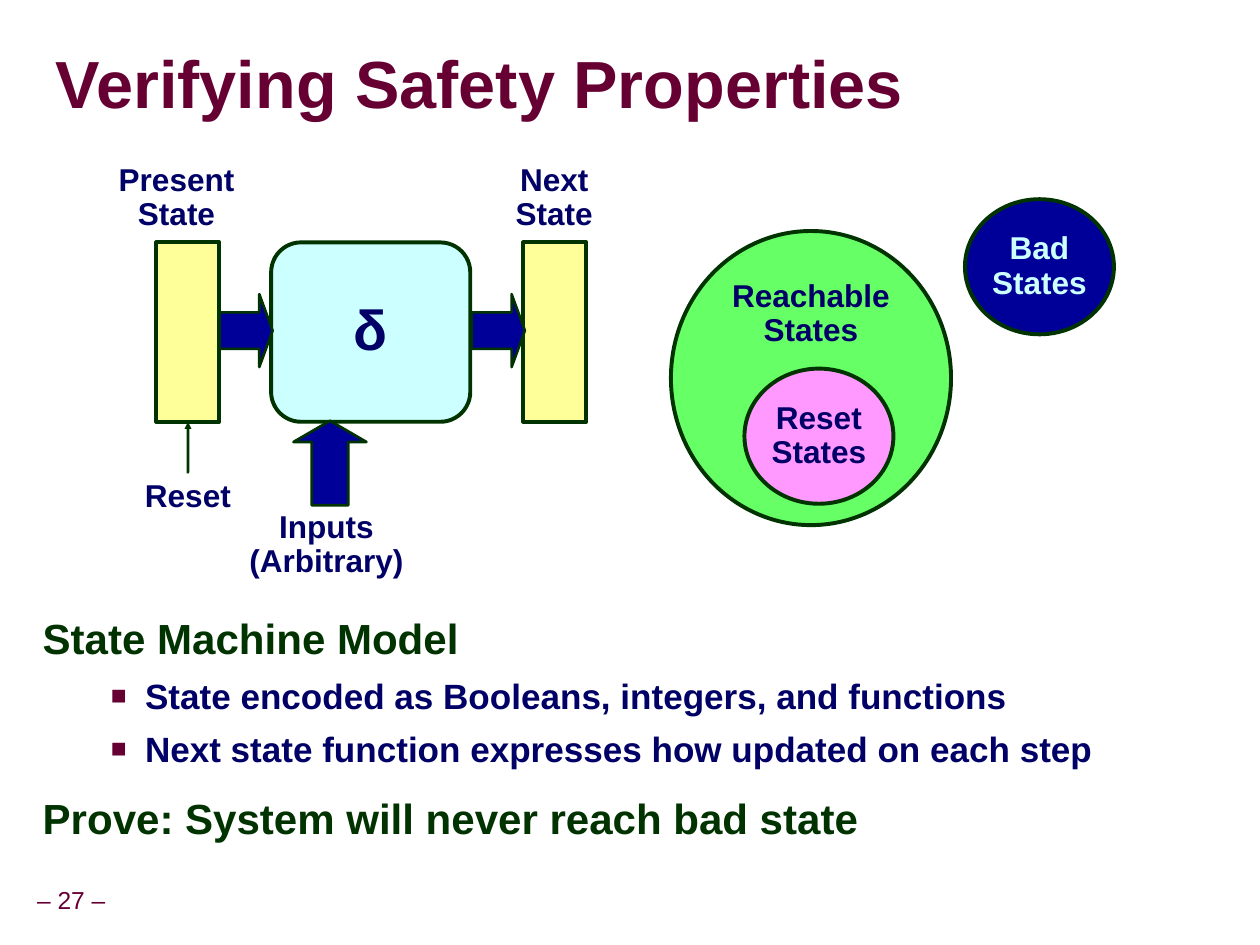
import lxml.etree
import pptx
import pptx.dml.color
import pptx.enum.shapes
import pptx.enum.text
import pptx.oxml
import pptx.oxml.ns
import pptx.util

Cm, Pt = pptx.util.Cm, pptx.util.Pt
SHAPE = pptx.enum.shapes.MSO_SHAPE
ALIGN = pptx.enum.text.PP_ALIGN
ANCHOR = pptx.enum.text.MSO_ANCHOR
NAMESPACE = pptx.oxml.ns.nsdecls("a")

GREEN, NAVY, BLUE, MAROON = "003300", "000066", "000099", "660033"
YELLOW, CYAN = "FFFF99", "CCFFFF"


def color(value):
    return pptx.dml.color.RGBColor.from_string(value)


def write(frame, text, size=18, ink=NAVY, bold=True, align=ALIGN.CENTER,
          spacing=0.9, before=0, inset=0.13, anchor=ANCHOR.TOP, wrap=False):
    """Write each line of the text as a paragraph after those in the frame."""
    frame.word_wrap = wrap
    frame.auto_size = pptx.enum.text.MSO_AUTO_SIZE.NONE
    frame.vertical_anchor = anchor
    frame.margin_left = frame.margin_right = Cm(inset)
    frame.margin_top = frame.margin_bottom = Cm(min(inset, 0.13))
    for line in text.split("\n"):
        para = frame.paragraphs[0] if not frame.text else frame.add_paragraph()
        para.alignment = align
        para.line_spacing = spacing
        para.space_before = Pt(before)
        span = para.add_run()
        span.text = line
        span.font.name = "Arial"
        span.font.size = Pt(size)
        span.font.bold = bold
        span.font.color.rgb = color(ink)
    return para


deck = pptx.Presentation()
deck.slide_width, deck.slide_height = Cm(25.37), Cm(19.02)
page = deck.slides.add_slide(deck.slide_layouts[1])

# Title with a text shadow
title = page.shapes.title
title.left, title.top, title.width, title.height = Cm(1.12), Cm(0.69), Cm(24.18), Cm(2.16)
para = write(title.text_frame, "Verifying Safety Properties", size=38, ink=MAROON,
             align=ALIGN.LEFT, spacing=0.87, inset=0, anchor=ANCHOR.MIDDLE, wrap=True)
shadow = pptx.oxml.parse_xml(
    f'<a:effectLst {NAMESPACE}><a:outerShdw dist="38100" dir="2700000">'
    '<a:srgbClr val="969696"/></a:outerShdw></a:effectLst>')
para.runs[0].font.fill  # the shadow belongs right after the fill
para.runs[0].font._element.insert(1, shadow)

# Body list
body = page.placeholders[1]
body.left, body.top, body.width, body.height = Cm(0.61), Cm(12.27), Cm(23.04), Cm(4.85)
for level, text in [
    (0, "State Machine Model"),
    (1, "State encoded as Booleans, integers, and functions"),
    (1, "Next state function expresses how updated on each step"),
    (0, "Prove: System will never reach bad state"),
]:
    size, ink, spacing, before, left, indent = [
        (24, GREEN, 0.95, 15, 1.07, -1.07), (20, NAVY, 1.0, 6.2, 2.06, -0.69)][level]
    para = write(body.text_frame, text, size=size, ink=ink, align=ALIGN.LEFT,
                 spacing=spacing, before=before, inset=0.25, wrap=True)
    para.level = level
    props = para._p.get_or_add_pPr()
    props.set("marL", str(Cm(left)))
    props.set("indent", str(Cm(indent)))
    if level:
        bullet = (f'<a:buClr {NAMESPACE}><a:srgbClr val="{MAROON}"/></a:buClr>',
                  f'<a:buSzPct {NAMESPACE} val="75000"/>',
                  f'<a:buFont {NAMESPACE} typeface="Arial"/>',
                  f'<a:buChar {NAMESPACE} char="■"/>')
    else:
        bullet = (f'<a:buNone {NAMESPACE}/>',)
    for part in bullet:
        props.append(pptx.oxml.parse_xml(part))

# State sets and state machine: kind, left, top, width, height, fill, line width
top, height = 4.88, 3.61
arrow_top, arrow_length, arrow_breadth = 5.92, 1.07, 1.47
parts = {
    "reachable": (SHAPE.OVAL, 13.51, 4.65, 5.64, 5.92, "66FF66", 2.25),
    "reset": (SHAPE.OVAL, 14.99, 7.42, 3, 2.72, "FF99FF", 2.25),
    "bad": (SHAPE.OVAL, 19.43, 4.01, 3, 2.72, BLUE, 2.25),
    "present": (SHAPE.RECTANGLE, 3.15, top, 1.27, height, YELLOW, 2.25),
    "delta": (SHAPE.ROUNDED_RECTANGLE, 5.46, top, 4.01, height, CYAN, 2.25),
    "arrow in": (SHAPE.RIGHT_ARROW, 4.42, arrow_top, arrow_length, arrow_breadth, BLUE, 1.5),
    "next": (SHAPE.RECTANGLE, 10.54, top, 1.27, height, YELLOW, 2.25),
    "arrow out": (SHAPE.RIGHT_ARROW, 9.5, arrow_top, arrow_length, arrow_breadth, BLUE, 1.5),
    "arrow inputs": (SHAPE.UP_ARROW, 5.91, 8.47, arrow_breadth, 1.7, BLUE, 1.5),
}
boxes = {}
for name, (kind, *place, fill, weight) in parts.items():
    box = page.shapes.add_shape(kind, *map(Cm, place))
    box.shadow.inherit = False
    box.fill.solid()
    box.fill.fore_color.rgb = color(fill)
    box.line.color.rgb = color(GREEN)
    box.line.width = Pt(weight)
    boxes[name] = box
for name in ("arrow in", "arrow out"):
    boxes[name].adjustments[1] = 0.25
boxes["arrow inputs"].adjustments[1] = 0.29

write(boxes["reachable"].text_frame, "Reachable\nStates")
write(boxes["reset"].text_frame, "Reset\nStates", anchor=ANCHOR.MIDDLE)
write(boxes["bad"].text_frame, "Bad\nStates", ink=CYAN, anchor=ANCHOR.MIDDLE)
write(boxes["delta"].text_frame, "δ", size=32, anchor=ANCHOR.MIDDLE)

# Labels and page number
for text, left, label_top, width, label_height, style in [
    ("Present\nState", 2.26, 3.18, 2.59, 1.63, {}),
    ("Next\nState", 10.26, 3.18, 1.8, 1.63, {}),
    ("Inputs\n(Arbitrary)", 4.9, 10.16, 3.35, 1.63, {}),
    ("– 27 –", -0.23, 17.75, 3.33, 0.79,
     {"size": 14, "ink": MAROON, "bold": False, "anchor": ANCHOR.MIDDLE}),
    ("Reset", 2.8, 9.53, 1.97, 0.94, {}),
]:
    label = page.shapes.add_textbox(Cm(left), Cm(label_top), Cm(width), Cm(label_height))
    write(label.text_frame, text, **style)
    boxes[text] = label

# Reset arrow up to the present state
link = page.shapes.add_connector(pptx.enum.shapes.MSO_CONNECTOR.STRAIGHT, 0, 0, 0, 0)
link.begin_connect(boxes["Reset"], 0)
link.end_connect(boxes["present"], 2)
link.line.color.rgb = color(GREEN)
link.line.width = Pt(1.5)
lxml.etree.SubElement(link.line._get_or_add_ln(), pptx.oxml.ns.qn("a:tailEnd"),
                      type="triangle", w="sm", len="sm")
lxml.etree.SubElement(link._element.spPr, pptx.oxml.ns.qn("a:effectLst"))

deck.save("out.pptx")
